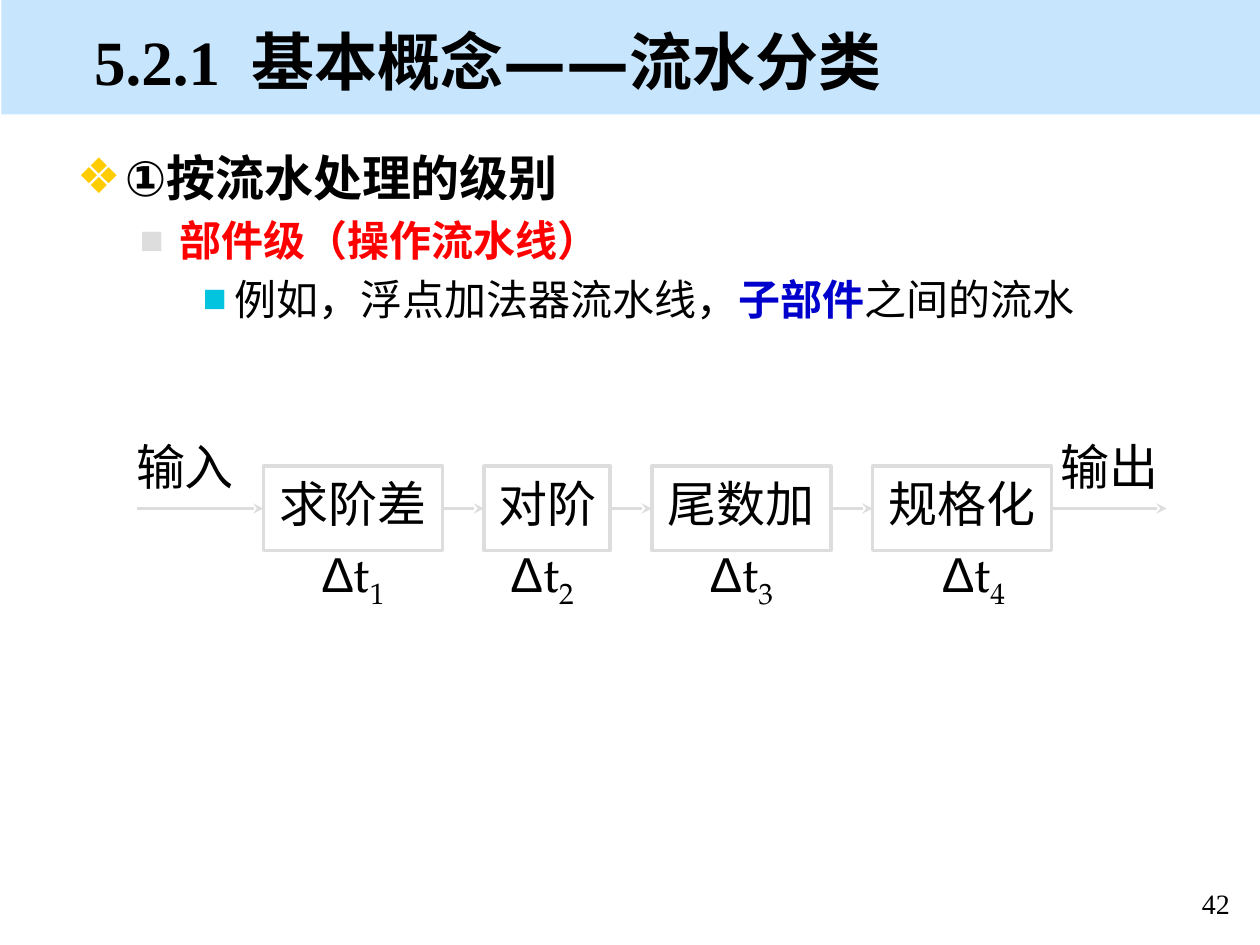
from lxml import etree
from pptx import Presentation
from pptx.dml.color import RGBColor
from pptx.enum.shapes import MSO_CONNECTOR, MSO_SHAPE
from pptx.enum.text import MSO_ANCHOR, PP_ALIGN
from pptx.oxml.ns import qn
from pptx.util import Cm, Pt

COLORS = {"bar": "C7E6FD", "text": "000000", "line": "DDDDDD", "red": "FF0000",
          "blue": "0000CC", "gold": "FFCC00", "cyan": "02C4DE"}
SERIF, BOOK, SANS = "Times New Roman", "TeX Gyre Pagella", "DejaVu Sans"


def rgb(name):
    """Return the named colour."""
    return RGBColor.from_string(COLORS[name])


def add_run(p, text, size, font=SERIF, color="text", bold=False):
    """Append a run with a sans face for its East Asian text."""
    r = p.add_run()
    r.text = text
    r.font.size, r.font.bold, r.font.name = Pt(size), bold, font
    r.font.color.rgb = rgb(color)
    etree.SubElement(r.font._element, qn("a:ea"), typeface=SANS)
    return r


def add_textbox(s, x, y, w, h):
    """Add a wrapping text box and return its text frame."""
    tf = s.shapes.add_textbox(Cm(x), Cm(y), Cm(w), Cm(h)).text_frame
    tf.word_wrap = True
    return tf


def add_header(s, x, y, w, h):
    """Draw the title bar with its heading."""
    bar = s.shapes.add_shape(MSO_SHAPE.RECTANGLE, Cm(x), Cm(y), Cm(w), Cm(h))
    bar.shadow.inherit = False
    bar.fill.solid()
    bar.fill.fore_color.rgb = rgb("bar")
    bar.line.fill.background()
    p = add_textbox(s, x + 1.62, y + 0.33, 21.79, 1.7).paragraphs[0]
    add_run(p, "5.2.1", 36, bold=True)
    add_run(p, " ", 36, bold=True).font._element.set("spc", "900")
    add_run(p, "基本概念——流水分类", 36, bold=True)


def add_outline(s, x, y, w, h):
    """Write the three-level bulleted outline."""
    levels = [
        (0.97, 0.97, "❖", "gold", 100, 28,
         [("①", "Calibri", "text", True), ("按流水处理的级别", SERIF, "text", True)]),
        (2.06, 0.79, "■", "line", 60, 24,
         [("部件级（", SERIF, "red", True), ("操作流水线）", SANS, "red", True)]),
        (3.17, 0.63, "■", "cyan", 60, 24,
         [("例如，浮点加法器流水线，", SANS, "text", False),
          ("子部件", SANS, "blue", True),
          ("之间的流水", SANS, "text", False)]),
    ]
    tf = add_textbox(s, x, y, w, h)
    for i, (margin, hang, char, color, scale, size, runs) in enumerate(levels):
        p = tf.add_paragraph() if i else tf.paragraphs[0]
        p.level = i
        p.space_before = Pt(size * 0.2 if i else 0)
        pPr = p._p.get_or_add_pPr()
        pPr.set("marL", str(Cm(margin)))
        pPr.set("indent", str(-Cm(hang)))
        clr = etree.SubElement(pPr, qn("a:buClr"))
        etree.SubElement(clr, qn("a:srgbClr"), val=COLORS[color])
        etree.SubElement(pPr, qn("a:buSzPct"), val=str(scale * 1000))
        etree.SubElement(pPr, qn("a:buFont"), typeface=SANS)
        etree.SubElement(pPr, qn("a:buChar"), char=char)
        for text, font, run_color, bold in runs:
            add_run(p, text, size, font, run_color, bold)


def center_paragraph(tf):
    """Centre a diagram text frame and return its paragraph."""
    tf.word_wrap = False
    tf.vertical_anchor = MSO_ANCHOR.MIDDLE
    tf.margin_left = tf.margin_right = Cm(0.2)
    tf.margin_top = tf.margin_bottom = Cm(0.1)
    p = tf.paragraphs[0]
    p.alignment, p.line_spacing = PP_ALIGN.CENTER, 0.8
    return p


def add_stage(s, x, y, w, h, text):
    """Draw one outlined pipeline stage."""
    sp = s.shapes.add_shape(MSO_SHAPE.RECTANGLE, Cm(x), Cm(y), Cm(w), Cm(h))
    sp.shadow.inherit = False
    sp.fill.background()
    sp.line.color.rgb, sp.line.width = rgb("line"), Pt(2)
    add_run(center_paragraph(sp.text_frame), text, 28, BOOK)
    return sp


def add_delay(s, x, y, w, h, index):
    """Write the delay of one stage with its subscript."""
    p = center_paragraph(add_textbox(s, x, y, w, h))
    add_run(p, "Δ", 28, "Arial")
    add_run(p, "t", 28, BOOK)
    add_run(p, str(index), 29, BOOK).font._element.set("baseline", "-25000")


def add_arrow(s, x1, x2, y, source=None, target=None):
    """Draw a horizontal arrow, joined to the given stages."""
    c = s.shapes.add_connector(MSO_CONNECTOR.STRAIGHT, Cm(x1), Cm(y), Cm(x2), Cm(y))
    if source is not None:
        c.begin_connect(source, 3)
    if target is not None:
        c.end_connect(target, 1)
    c.line.color.rgb, c.line.width = rgb("line"), Pt(2)
    etree.SubElement(c.line._get_or_add_ln(), qn("a:tailEnd"), type="stealth")
    etree.SubElement(c._element.spPr, qn("a:effectLst"))


def add_pipeline(s, x, y, w, h):
    """Draw the adder pipeline from input to output."""
    stages = [("求阶差", 3.61, 0), ("对阶", 2.54, -0.1), ("尾数加", 3.61, 0), ("规格化", 3.61, 0.23)]
    top, height, gap, lead = y + 0.64, 1.7, 0.84, 2.54
    middle, label_w, label_h = top + height / 2, 2.74, 1.47
    start, left, previous = x, x + lead, None
    for i, (text, width, shift) in enumerate(stages, 1):
        stage = add_stage(s, left, top, width, height, text)
        add_arrow(s, start, left, middle, previous, stage)
        delay_x = left + (width - label_w) / 2 + shift
        add_delay(s, delay_x, y + h - label_h, label_w, label_h, i)
        start, left, previous = left + width, left + width + gap, stage
    add_arrow(s, start, x + w, middle, previous)
    for text, label_x in (("输入", x - 0.41), ("输出", start - 0.2)):
        tf = add_textbox(s, label_x, y, label_w, label_h)
        add_run(center_paragraph(tf), text, 28, BOOK)


def add_page_number(s, x, y, w, h):
    """Write the page number."""
    p = add_textbox(s, x, y, w, h).paragraphs[0]
    p.alignment = PP_ALIGN.CENTER
    add_run(p, "42", 16)


def main():
    """Build the slide and save it."""
    prs = Presentation()
    prs.slide_width, prs.slide_height = Cm(25.4), Cm(19.05)
    s = prs.slides.add_slide(prs.slide_layouts[6])
    add_header(s, 0.03, 0, 25.37, 2.31)
    add_outline(s, 1.3, 2.84, 22.86, 4.72)
    add_pipeline(s, 2.77, 8.76, 20.75, 3.58)
    add_page_number(s, 23.62, 17.75, 1.78, 0.84)
    prs.save("out.pptx")


if __name__ == "__main__":
    main()
